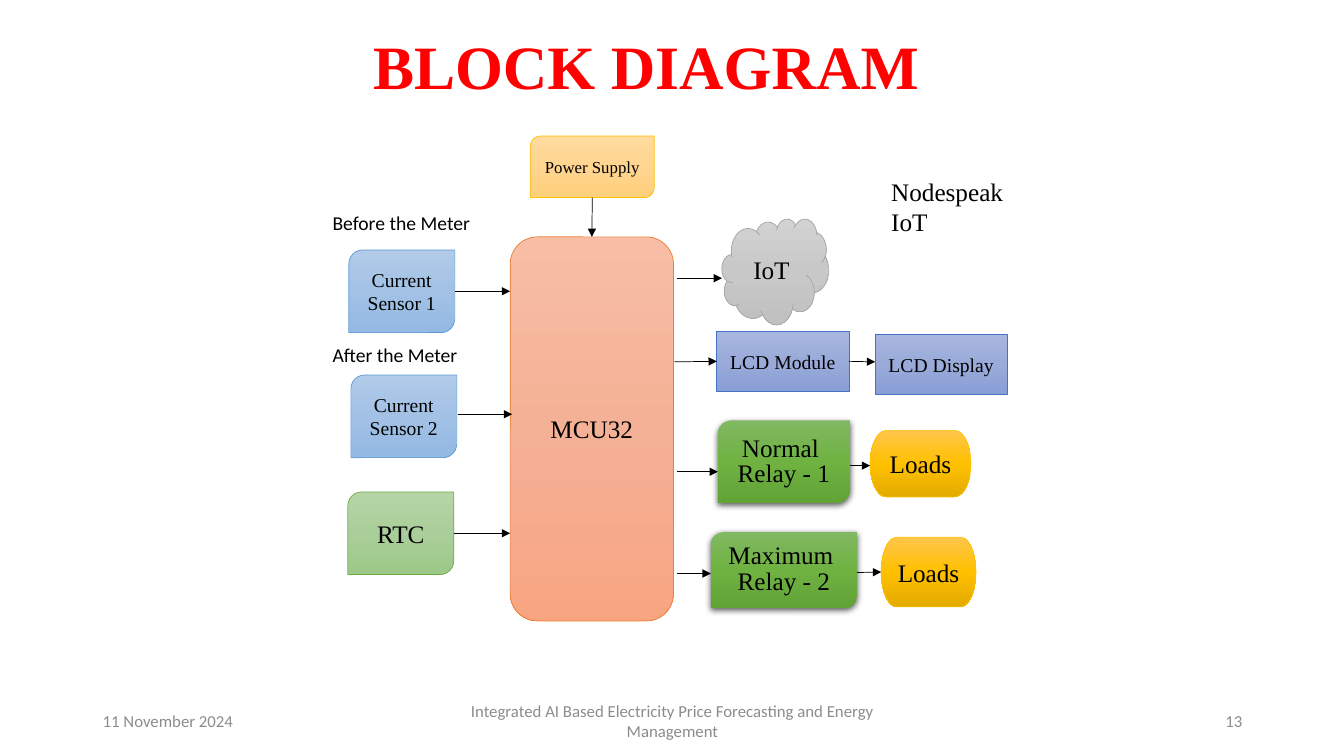
"""Build the block diagram slide of an energy management system."""
from copy import deepcopy
from dataclasses import dataclass
from typing import Optional

from lxml import etree
from pptx import Presentation
from pptx import util as u
from pptx.dml.color import RGBColor
from pptx.enum import shapes, text
from pptx.oxml.ns import qn

PX = 9144
TOP, LEFT, BOTTOM, RIGHT = range(4)
DIAGONAL = shapes.MSO_SHAPE.ROUND_2_DIAG_RECTANGLE
TERMINATOR = shapes.MSO_SHAPE.FLOWCHART_TERMINATOR
RECTANGLE = shapes.MSO_SHAPE.RECTANGLE
START, CENTER, END = text.PP_ALIGN.LEFT, text.PP_ALIGN.CENTER, text.PP_ALIGN.RIGHT
MIDDLE, UPPER = text.MSO_ANCHOR.MIDDLE, text.MSO_ANCHOR.TOP


@dataclass(frozen=True)
class Paint:
    stops: tuple[str, str, str]
    line: Optional[str] = None


@dataclass(frozen=True)
class Theme:
    serif: str = "Times New Roman"
    sans: str = "Calibri"
    ink: str = "000000"
    title: str = "FF0000"
    muted: str = "8C8C8C"
    title_size: int = 44
    large: int = 18
    medium: int = 14
    small: int = 12
    line_width: float = 0.5
    controller: Paint = Paint(("F7BDA5", "F5B196", "F8A582"), "ED7D31")
    sensor: Paint = Paint(("B1CBE9", "A3C1E5", "93B9E4"), "5B9BD5")
    cloud: Paint = Paint(("D2D2D2", "C8C8C8", "C0C0C0"), "A5A5A5")
    relay: Paint = Paint(("81B861", "6FB242", "62A336"))
    load: Paint = Paint(("FFC64B", "FFC000", "E3AB00"), "FFC000")
    clock: Paint = Paint(("B5D5A7", "AACE9A", "9CC987"), "70AD47")
    power: Paint = Paint(("FFDB9E", "FFD590", "FFD07C"), "FFC000")
    lcd: Paint = Paint(("A8B7DF", "9AABD9", "889ED7"), "4472C4")


THEME = Theme()


@dataclass(frozen=True)
class Block:
    key: str
    label: str
    box: tuple[int, int, int, int]
    preset: shapes.MSO_SHAPE
    paint: Paint
    size: int = THEME.large
    margin_top: int = 5
    shadow: bool = False


@dataclass(frozen=True)
class Label:
    words: str
    box: tuple[int, int, int, int]
    size: int
    font: str = THEME.serif
    color: str = THEME.ink
    align: text.PP_ALIGN = START
    anchor: text.MSO_ANCHOR = UPPER
    bold: bool = False
    spacing: float = 1.0


@dataclass(frozen=True)
class Arrow:
    begin: tuple[int, int]
    end: tuple[int, int]
    source: Optional[tuple[str, int]] = None
    target: Optional[tuple[str, int]] = None


BLOCKS = (
    Block("controller", "MCU32", (506, 235, 162, 381),
          shapes.MSO_SHAPE.ROUNDED_RECTANGLE, THEME.controller),
    Block("sensor 1", "Current Sensor 1", (346, 248, 105, 82), DIAGONAL, THEME.sensor, THEME.medium),
    Block("sensor 2", "Current Sensor 2", (348, 372, 105, 82), DIAGONAL, THEME.sensor, THEME.medium),
    Block("clock", "RTC", (345, 488, 105, 82), DIAGONAL, THEME.clock),
    Block("power", "Power Supply", (526, 135, 123, 61), DIAGONAL, THEME.power, THEME.small),
    Block("cloud", "IoT", (716, 217, 106, 105), shapes.MSO_SHAPE.CLOUD, THEME.cloud),
    Block("module", "LCD Module", (711, 329, 131, 59), RECTANGLE, THEME.lcd, THEME.medium),
    Block("display", "LCD Display", (868, 332, 131, 59), RECTANGLE, THEME.lcd, THEME.medium),
    Block("relay 1", "Relay - 1", (712, 417, 131, 82), DIAGONAL, THEME.relay, margin_top=26, shadow=True),
    Block("relay 2", "Relay - 2", (705, 528, 145, 75), DIAGONAL, THEME.relay, margin_top=26, shadow=True),
    Block("load 1", "Loads", (863, 427, 100, 66), TERMINATOR, THEME.load),
    Block("load 2", "Loads", (874, 533, 94, 69), TERMINATOR, THEME.load),
)

ARROWS = (
    Arrow((587, 196), (587, 235), ("power", BOTTOM), ("controller", TOP)),
    Arrow((451, 289), (506, 289), source=("sensor 1", RIGHT)),
    Arrow((454, 411), (508, 411)),
    Arrow((450, 529), (506, 529), source=("clock", RIGHT)),
    Arrow((671, 276), (716, 276)),
    Arrow((669, 359), (711, 359), target=("module", LEFT)),
    Arrow((842, 359), (868, 359), source=("module", RIGHT)),
    Arrow((671, 468), (712, 468)),
    Arrow((843, 462), (863, 462)),
    Arrow((671, 569), (705, 569)),
    Arrow((850, 568), (874, 568), target=("load 2", LEFT)),
)

LABELS = (
    Label("BLOCK DIAGRAM", (66, 12, 1150, 114), THEME.title_size, color=THEME.title,
          align=CENTER, anchor=MIDDLE, bold=True, spacing=0.9),
    Label("Normal", (709, 424, 130, 35), THEME.large, align=CENTER),
    Label("Maximum", (702, 530, 145, 35), THEME.large, align=CENTER),
    Label("Nodespeak IoT", (874, 170, 139, 35), THEME.large),
    Label("Before the Meter", (320, 204, 176, 36), THEME.medium, THEME.sans),
    Label("After the Meter", (320, 335, 150, 36), THEME.medium, THEME.sans),
    Label("11 November 2024", (92, 695, 300, 40), THEME.small, THEME.sans, THEME.muted, START, MIDDLE),
    Label("Integrated AI Based Electricity Price Forecasting and Energy Management",
          (442, 695, 450, 40), THEME.small, THEME.sans, THEME.muted, CENTER, MIDDLE),
    Label("13", (942, 695, 300, 40), THEME.small, THEME.sans, THEME.muted, END, MIDDLE),
)


def emu(lengths: tuple[int, ...]) -> list[int]:
    return [length * PX for length in lengths]


def write_label(shape, label: Label) -> None:
    frame = shape.text_frame
    frame.word_wrap = True
    frame.vertical_anchor = label.anchor
    frame.text = label.words
    paragraph = frame.paragraphs[0]
    paragraph.alignment = label.align
    paragraph.line_spacing = label.spacing
    font = paragraph.runs[0].font
    font.name, font.size, font.bold = label.font, u.Pt(label.size), label.bold
    font.color.rgb = RGBColor.from_string(label.color)


def paint_shape(shape, paint: Paint) -> None:
    shape.fill.gradient()
    shape.fill.gradient_angle = 270
    stop_list = shape.element.spPr.find(".//" + qn("a:gsLst"))
    stop_list.append(deepcopy(stop_list[0]))
    for index, (stop, color) in enumerate(zip(shape.fill.gradient_stops, paint.stops)):
        stop.position = index / 2
        stop.color.rgb = RGBColor.from_string(color)
    if paint.line:
        shape.line.color.rgb = RGBColor.from_string(paint.line)
        shape.line.width = u.Pt(THEME.line_width)
    else:
        shape.line.fill.background()


def add_soft_shadow(shape) -> None:
    effects = shape.element.spPr.find(qn("a:effectLst"))
    shadow = etree.SubElement(effects, qn("a:outerShdw"), blurRad=str(u.Pt(4.5)),
                              dist=str(u.Pt(1.5)), dir="5400000", algn="ctr", rotWithShape="0")
    color = etree.SubElement(shadow, qn("a:srgbClr"), val=THEME.ink)
    etree.SubElement(color, qn("a:alpha"), val="63000")


def draw_block(slide, block: Block):
    shape = slide.shapes.add_shape(block.preset, *emu(block.box))
    shape.shadow.inherit = False
    paint_shape(shape, block.paint)
    if block.shadow:
        add_soft_shadow(shape)
    write_label(shape, Label(block.label, block.box, block.size, align=CENTER, anchor=MIDDLE))
    shape.text_frame.margin_top = block.margin_top * PX
    return shape


def draw_arrow(slide, arrow: Arrow, blocks: dict) -> None:
    connector = slide.shapes.add_connector(shapes.MSO_CONNECTOR.STRAIGHT, *emu(arrow.begin + arrow.end))
    joins = ((arrow.source, connector.begin_connect, "a:stCxn"),
             (arrow.target, connector.end_connect, "a:endCxn"))
    for join, connect, tag in joins:
        if join:
            key, side = join
            connect(blocks[key], side)
            if blocks[key].auto_shape_type == DIAGONAL:
                connector.element.find(".//" + qn(tag)).set("idx", str(RIGHT - side))
    connector.line.color.rgb = RGBColor.from_string(THEME.ink)
    connector.line.width = u.Pt(THEME.line_width)
    etree.SubElement(connector.line._get_or_add_ln(), qn("a:tailEnd"), type="triangle")
    etree.SubElement(connector.element.spPr, qn("a:effectLst"))


def main() -> None:
    presentation = Presentation()
    presentation.slide_width, presentation.slide_height = emu((1333, 750))
    slide = presentation.slides.add_slide(presentation.slide_layouts[6])
    blocks = {block.key: draw_block(slide, block) for block in BLOCKS}
    for arrow in ARROWS:
        draw_arrow(slide, arrow, blocks)
    for label in LABELS:
        write_label(slide.shapes.add_textbox(*emu(label.box)), label)
    presentation.save("out.pptx")


if __name__ == "__main__":
    main()
